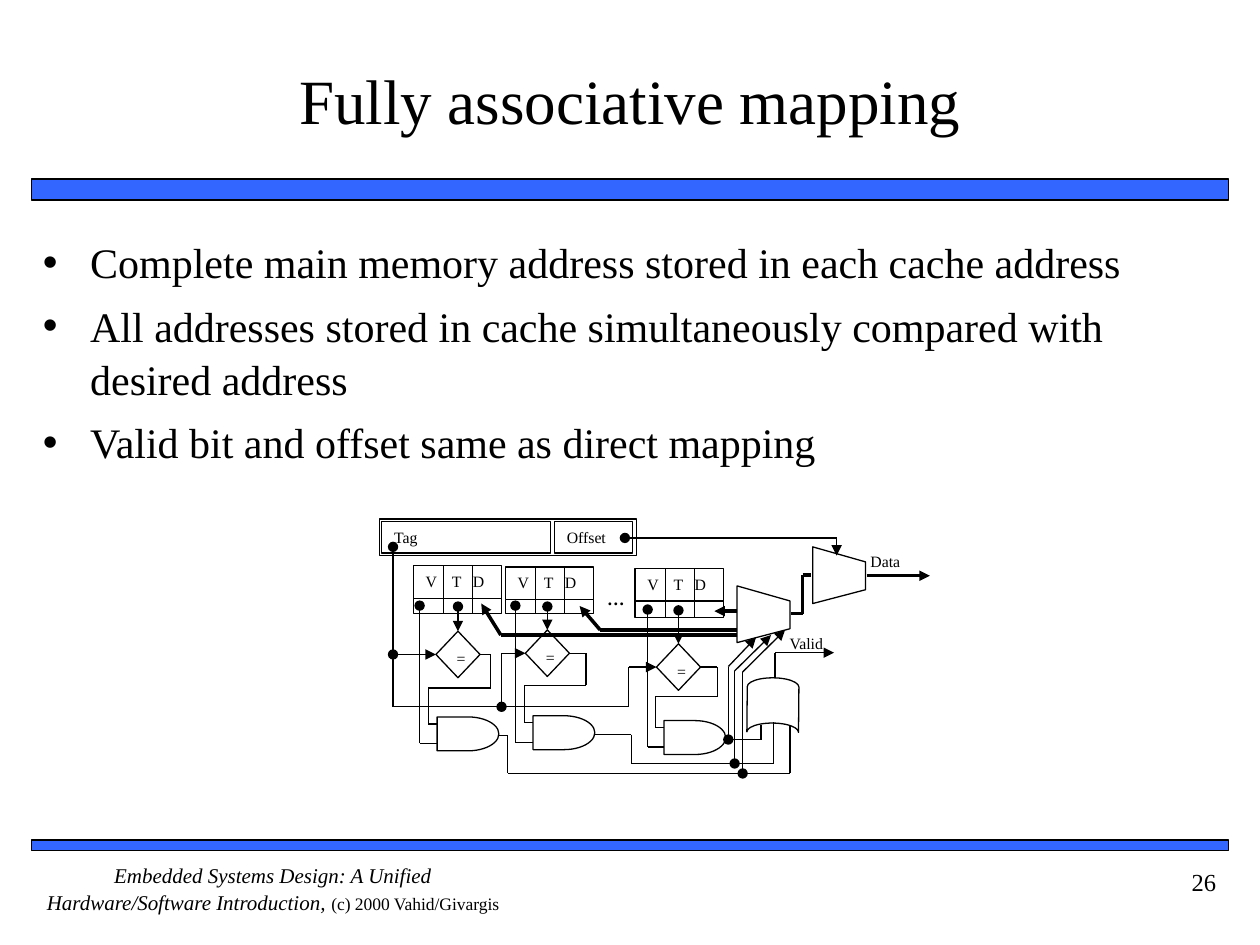
"""Build a slide on fully associative cache mapping with its circuit diagram."""
from lxml import etree
from pptx import Presentation
from pptx.dml.color import RGBColor
from pptx.enum.shapes import MSO_CONNECTOR, MSO_SHAPE
from pptx.enum.text import MSO_ANCHOR, PP_ALIGN
from pptx.oxml.ns import qn
from pptx.util import Pt

LEFT, CENTER, RIGHT = PP_ALIGN.LEFT, PP_ALIGN.CENTER, PP_ALIGN.RIGHT
TOP, MIDDLE = MSO_ANCHOR.TOP, MSO_ANCHOR.MIDDLE
RECTANGLE, DIAMOND = MSO_SHAPE.RECTANGLE, MSO_SHAPE.DIAMOND
AND_GATE, OR_GATE = MSO_SHAPE.FLOWCHART_DELAY, MSO_SHAPE.FLOWCHART_STORED_DATA
STRAIGHT = MSO_CONNECTOR.STRAIGHT
FONT, BLACK, WHITE, BLUE = "Times New Roman", "000000", "FFFFFF", "3366FF"
THIN, THICK = 0.75, 2
colour = RGBColor.from_string


def write(frame, text, size=9, bold=False, italic=False, align=LEFT, anchor=TOP,
          before=0, spacing=None):
    """Add a formatted run to the last paragraph of a text frame."""
    frame.word_wrap = True
    frame.vertical_anchor = anchor
    paragraph = frame.paragraphs[-1]
    paragraph.alignment = align
    paragraph.space_before = Pt(before)
    paragraph.line_spacing = spacing
    run = paragraph.add_run()
    run.text = text
    run.font.name, run.font.size = FONT, Pt(size)
    run.font.bold, run.font.italic = bold, italic
    run.font.color.rgb = colour(BLACK)
    return paragraph


def style(shape, fill=WHITE, line=THIN):
    """Give a shape a plain fill and a black outline without shadow."""
    shape.shadow.inherit = False
    shape.fill.solid()
    shape.fill.fore_color.rgb = colour(fill)
    if line:
        shape.line.color.rgb = colour(BLACK)
        shape.line.width = Pt(line)
    else:
        shape.line.fill.background()
    return shape


presentation = Presentation()
presentation.slide_width, presentation.slide_height = Pt(720), Pt(540)
slide = presentation.slides.add_slide(presentation.slide_layouts[1])
shapes = slide.shapes

for top, height in [(102.2, 12.2), (480.2, 5.8)]:
    style(shapes.add_shape(RECTANGLE, Pt(18), Pt(top), Pt(684), Pt(height)), BLUE, 1)

title = shapes.title
title.left, title.top, title.width, title.height = Pt(30), Pt(12), Pt(660), Pt(90)
write(title.text_frame, "Fully associative mapping", size=36, align=CENTER, anchor=MIDDLE)

body = slide.placeholders[1]
body.left, body.top, body.width, body.height = Pt(17.3), Pt(130.3), Pt(652.3), Pt(140.4)
bullets = ["Complete main memory address stored in each cache address",
           "All addresses stored in cache simultaneously compared with desired address",
           "Valid bit and offset same as direct mapping"]
for index, bullet in enumerate(bullets):
    if index:
        body.text_frame.add_paragraph()
    paragraph = write(body.text_frame, bullet, size=24, before=6, spacing=1.05)
    properties = paragraph._p.get_or_add_pPr()
    properties.set("marL", str(Pt(27)))
    properties.set("indent", str(-Pt(27)))
    etree.SubElement(properties, qn("a:buChar"), char="•")

footer = shapes.add_textbox(Pt(18), Pt(492), Pt(276), Pt(36)).text_frame
footer.margin_left = footer.margin_right = footer.margin_top = footer.margin_bottom = 0
write(footer, "Embedded Systems Design: A Unified Hardware/Software Introduction, ",
      size=12, italic=True, align=CENTER, spacing=1.07)
write(footer, "(c) 2000 Vahid/Givargis", size=10, align=CENTER, spacing=1.07)
page_number = shapes.add_textbox(Pt(630), Pt(492), Pt(72), Pt(36))
write(page_number.text_frame, "26", size=14, align=RIGHT, before=8.8)

for text, left, top, width, height, line, size in [
        ("", 216.7, 296.6, 146.9, 20.9, THIN, 9),
        ("Tag", 218.2, 298, 96.5, 18, THIN, 9),
        ("Offset", 316.8, 298, 44.6, 18, THIN, 9),
        ("Valid", 444.2, 358.6, 49.7, 20.9, None, 9),
        ("…", 339.8, 332.6, 25.2, 16.6, None, 10)]:
    box = style(shapes.add_shape(RECTANGLE, Pt(left), Pt(top), Pt(width), Pt(height)), line=line)
    if text:
        write(box.text_frame, text, size=size, bold=size == 10)

or_gate = style(shapes.add_shape(OR_GATE, Pt(426.2), Pt(388.1), Pt(31), Pt(29.5)))
or_gate.rotation = 90.5

for left, top in [(464.4, 312.5), (421.2, 334.8)]:
    builder = shapes.build_freeform(Pt(left), Pt(top), scale=1.0)
    builder.add_line_segments([(Pt(left + x), Pt(top + y))
                               for x, y in [(0, 32.4), (30.2, 24.5), (30.2, 8.6)]])
    style(builder.convert_to_shape())

data_label = shapes.add_textbox(Pt(490.3), Pt(311.8), Pt(43.9), Pt(20.9))
write(data_label.text_frame, "Data")

wires = [
    ([(357.1, 307.4), (478.1, 307.4), (478.1, 317.5)], THIN, "oval", "triangle", None, None),
    ([(442.8, 387.4), (442.8, 373), (476.6, 373)], THIN, None, "triangle", None, None),
    ([(495.4, 329), (531.4, 329)], THICK, None, "triangle", None, None),
    ([(452.2, 350.6), (458.6, 350.6), (458.6, 328.6), (463.7, 328.6)],
     THICK, None, None, None, None),
    ([(285, 420.1), (290.2, 420.1), (290.2, 442), (451.4, 442), (451.4, 414.7)],
     THIN, None, None, None, None),
    ([(339.8, 419.8), (360.7, 419.8), (360.7, 436.3), (442.1, 436.3), (442.1, 412.6)],
     THIN, None, None, None, None),
    ([(414, 422.6), (434.9, 422.6), (434.9, 414)], THIN, None, None, None, None),
    ([(416.2, 422.6), (416.2, 380.9), (432, 364.3)], THIN, "oval", "triangle", None, None),
    ([(419.8, 436.3), (419.8, 383.4), (440.6, 362.9)], THIN, "oval", "triangle", None, None),
    ([(424.4, 442), (424.4, 384), (448.6, 360)], THIN, "oval", "triangle", None, None),
    ([(275, 344.9), (286.2, 362.9), (421.2, 362.9)], THICK, "triangle", None, None, None),
    ([(331.2, 346.3), (343, 360), (421.2, 360)], THICK, "triangle", None, None, None),
    ([(408.2, 349.2), (421.2, 349.2)], THICK, "triangle", None, None, None)]

tag_feeds = [[(224.6, 374)],
             [(286.6, 403.9), (286.6, 373.3)],
             [(224.6, 312.5), (224.6, 403.9), (359.3, 403.9), (359.3, 381.2)]]
cache_lines = [(236.2, 323.3, 328.3, 249.1, 360.7, 249.8, 409.7, 239.8, 280.4, 393.1),
               (288.7, 324, 328.3, 300.2, 360, 304.6, 409, 294.5, 334.8, 391.7),
               (362.9, 324.7, 330.5, 375.1, 367.9, 379.4, 411.8, 370.1, 409.9, 398.2)]
for feed, (left, header_top, entry_top, compare_left, compare_top, gate_left, gate_top,
           valid_x, turn_x, turn_y) in zip(tag_feeds, cache_lines):
    bottom = entry_top + 22.3
    style(shapes.add_shape(RECTANGLE, Pt(left), Pt(entry_top), Pt(50.4), Pt(22.3)))
    header = style(shapes.add_shape(RECTANGLE, Pt(left), Pt(header_top), Pt(50.4), Pt(18.7)))
    paragraph = write(header.text_frame, "V\tT\tD")
    tab_stops = etree.SubElement(paragraph._p.get_or_add_pPr(), qn("a:tabLst"))
    for position in (15, 27):
        etree.SubElement(tab_stops, qn("a:tab"), pos=str(Pt(position)), algn="l")
    for divider_x in (left + 17.2, left + 33.8):
        wires.append(([(divider_x, header_top), (divider_x, bottom)],
                      THIN, None, None, None, None))

    comparator = style(shapes.add_shape(DIAMOND, Pt(compare_left), Pt(compare_top),
                                        Pt(25.2), Pt(26.6)))
    write(comparator.text_frame, "=")
    style(shapes.add_shape(AND_GATE, Pt(gate_left), Pt(gate_top), Pt(35.3), Pt(19.4)))

    middle_x, middle_y = compare_left + 12.6, compare_top + 13.3
    valid_y, match_y, match_x = gate_top + 15.1, gate_top + 4, gate_left - 5
    wires += [
        (feed + [(compare_left, middle_y)], THIN, "oval", "triangle", None, (comparator, 1)),
        ([(middle_x, bottom - 4), (middle_x, compare_top)],
         THIN, "oval", "triangle", None, (comparator, 0)),
        ([(valid_x, bottom - 4.5), (valid_x, valid_y), (gate_left, valid_y)],
         THIN, "oval", None, None, None),
        ([(compare_left + 25.2, middle_y), (turn_x, middle_y), (turn_x, turn_y),
          (match_x, turn_y), (match_x, match_y), (gate_left, match_y)],
         THIN, None, None, (comparator, 3), None)]

for points, width, head, tail, start, end in wires:
    segments = []
    for (x1, y1), (x2, y2) in zip(points, points[1:]):
        segment = shapes.add_connector(STRAIGHT, Pt(x1), Pt(y1), Pt(x2), Pt(y2))
        segment.line.color.rgb = colour(BLACK)
        segment.line.width = Pt(width)
        etree.SubElement(segment._element.spPr, qn("a:effectLst"))
        segments.append(segment)
    for segment, tag, arrow in [(segments[0], "a:headEnd", head), (segments[-1], "a:tailEnd", tail)]:
        if arrow:
            etree.SubElement(segment._element.spPr.find(qn("a:ln")), qn(tag), type=arrow)
    if start:
        segments[0].begin_connect(*start)
    if end:
        segments[-1].end_connect(*end)

presentation.save("out.pptx")
